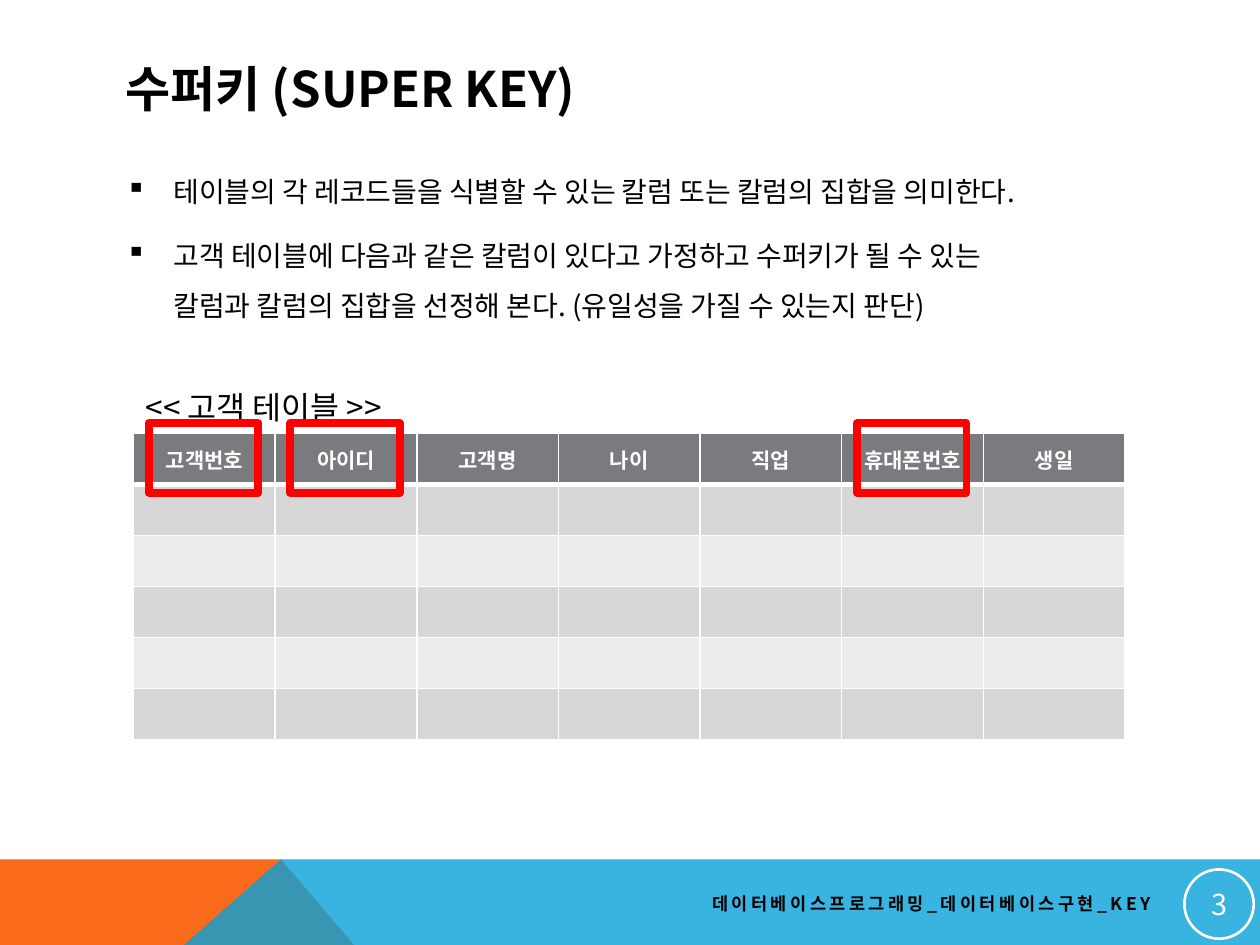
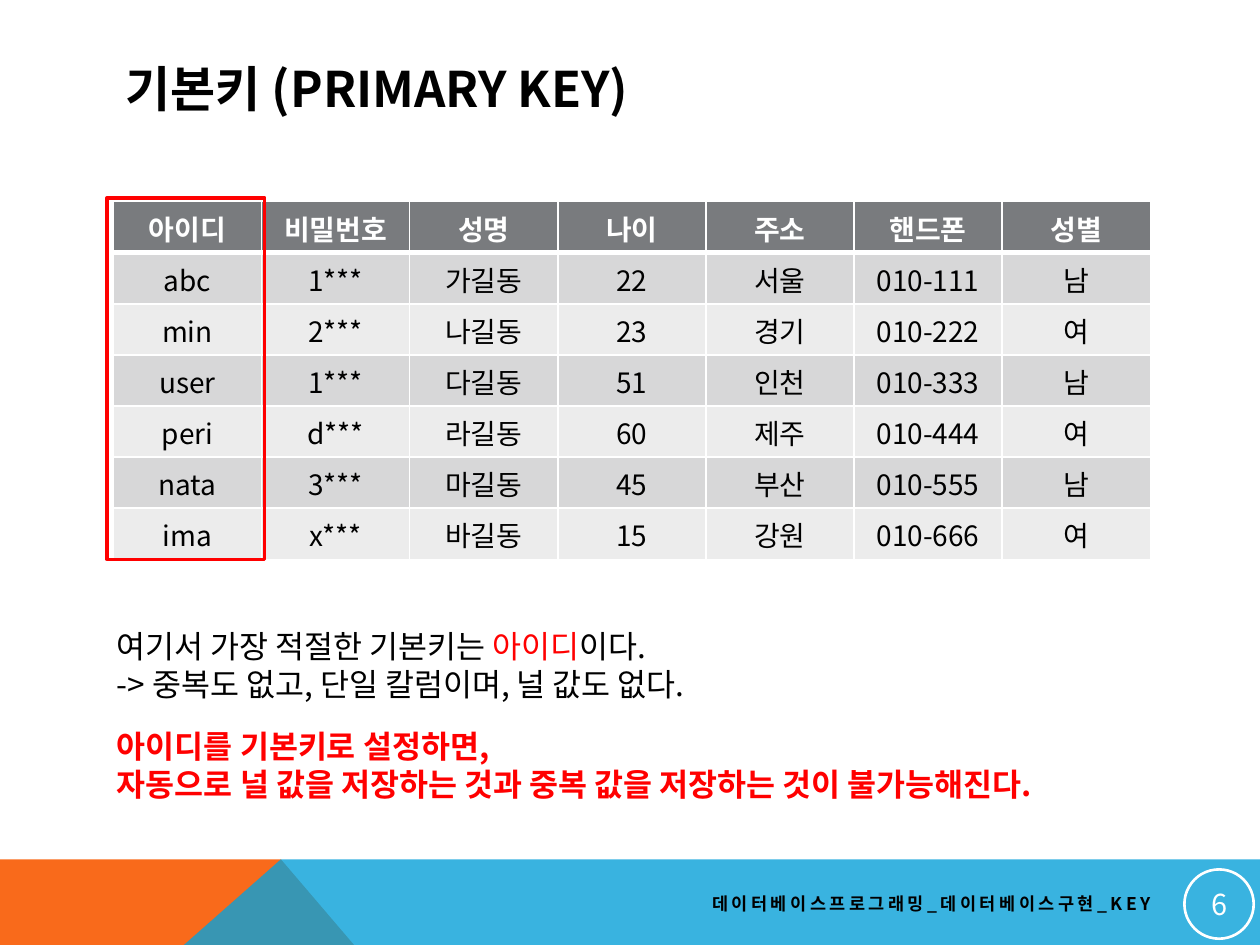
from dataclasses import dataclass

from lxml import etree
from pptx import Presentation
from pptx.dml.color import RGBColor
from pptx.enum import shapes, text
from pptx.oxml import ns
from pptx.util import Inches, Pt

FONT = "Noto Sans CJK KR"
BLACK, WHITE, RED = "000000", "FFFFFF", "FF0000"
ORANGE, BLUE = "F96A1B", "08A1D9"
HEADER, BANDS = "797B7E", ("D7D7D8", "ECECEC")
FOOTER = "데이터베이스프로그래밍_데이터베이스구현_KEY"
LEFT, CENTER, RIGHT = text.PP_ALIGN.LEFT, text.PP_ALIGN.CENTER, text.PP_ALIGN.RIGHT
TOP, MIDDLE = text.MSO_ANCHOR.TOP, text.MSO_ANCHOR.MIDDLE
WIDTH, HEIGHT, BAND_TOP = 10, 7.5, 6.82


@dataclass(frozen=True)
class Box:
    x: float
    y: float
    w: float
    h: float

    def emu(self) -> tuple:
        return tuple(Inches(v) for v in (self.x, self.y, self.w, self.h))


@dataclass(frozen=True)
class Grid:
    box: Box
    rows: list
    header_size: float
    body_size: float
    anchor: text.MSO_ANCHOR


def rgb(value: str) -> RGBColor:
    return RGBColor.from_string(value)


def sub(parent, tag: str, **attrs: str):
    return etree.SubElement(parent, ns.qn(tag), attrs)


def add_run(p, content: str, size: float, color: str, bold: bool, spacing: float) -> None:
    r = p.add_run()
    r.text = content
    r.font.name = FONT
    r.font.size = Pt(size)
    r.font.bold = bold
    r.font.color.rgb = rgb(color)
    props = r.font._element
    sub(props, "a:ea", typeface=FONT)
    if spacing:
        props.set("spc", str(int(spacing * 100)))


def write(tf, paragraphs: list, *, size: float, color: str = BLACK, bold: bool = False,
          align=LEFT, line: float = 1.0, before: float = 0, spacing: float = 0,
          bullet: str = "") -> None:
    for i, content in enumerate(paragraphs):
        p = tf.add_paragraph() if i else tf.paragraphs[0]
        p.alignment = align
        p.line_spacing = line
        p.space_before = Pt(before)
        if bullet:
            ppr = p._p.get_or_add_pPr()
            ppr.set("marL", str(Inches(0.38)))
            ppr.set("indent", str(Inches(-0.38)))
            sub(ppr, "a:buChar", char=bullet)
        runs = [(content, color)] if isinstance(content, str) else content
        for run_text, run_color in runs:
            for j, part in enumerate(run_text.split("\n")):
                if j:
                    p.add_line_break()
                add_run(p, part, size, run_color, bold, spacing)


def add_text(s, box: Box, paragraphs: list, *, anchor=TOP, wrap: bool = True, **style) -> None:
    tf = s.shapes.add_textbox(*box.emu()).text_frame
    tf.word_wrap = wrap
    tf.vertical_anchor = anchor
    if not wrap:
        tf.auto_size = text.MSO_AUTO_SIZE.SHAPE_TO_FIT_TEXT
    write(tf, paragraphs, **style)


def add_outline(s, box: Box, color: str, weight: float, kind=shapes.MSO_SHAPE.RECTANGLE):
    sp = s.shapes.add_shape(kind, *box.emu())
    sp.shadow.inherit = False
    sp.fill.background()
    sp.line.color.rgb = rgb(color)
    sp.line.width = Pt(weight)
    return sp


def add_polygon(s, points: list, color: str, opacity: int = 100) -> None:
    corners = [(Inches(x), Inches(y)) for x, y in points]
    builder = s.shapes.build_freeform(*corners[0])
    builder.add_line_segments(corners[1:], close=True)
    sp = builder.convert_to_shape()
    sp.shadow.inherit = False
    sp.fill.solid()
    sp.fill.fore_color.rgb = rgb(color)
    sp.line.fill.background()
    if opacity < 100:
        clr = sp._element.spPr.find(".//" + ns.qn("a:srgbClr"))
        sub(clr, "a:alpha", val=str(opacity * 1000))


def set_borders(cell, **weights: float) -> None:
    tc_pr = cell._tc.get_or_add_tcPr()
    for i, side in enumerate("LRTB"):
        ln = etree.Element(ns.qn(f"a:ln{side}"), w=str(Pt(weights.get(side, 1))))
        sub(sub(ln, "a:solidFill"), "a:srgbClr", val=WHITE)
        tc_pr.insert(i, ln)


def add_grid(s, grid: Grid) -> None:
    n_rows, n_cols = len(grid.rows), len(grid.rows[0])
    table = s.shapes.add_table(n_rows, n_cols, *grid.box.emu()).table
    for col in table.columns:
        col.width = Inches(grid.box.w / n_cols)
    for i, values in enumerate(grid.rows):
        table.rows[i].height = Inches(grid.box.h / n_rows)
        head = i == 0
        for j, value in enumerate(values):
            cell = table.cell(i, j)
            cell.vertical_anchor = grid.anchor
            cell.fill.solid()
            cell.fill.fore_color.rgb = rgb(HEADER if head else BANDS[(i - 1) % 2])
            set_borders(cell, T=3 if i == 1 else 1, B=3 if head else 1)
            write(cell.text_frame, [value], align=CENTER, bold=head,
                  size=grid.header_size if head else grid.body_size,
                  color=WHITE if head else BLACK)


def new_slide(prs, title: str, number: int):
    s = prs.slides.add_slide(prs.slide_layouts[6])
    peak = (2.23, BAND_TOP)
    add_polygon(s, [(0, HEIGHT), (0, BAND_TOP), peak, (2.81, HEIGHT)], ORANGE)
    add_polygon(s, [(1.46, HEIGHT), peak, (WIDTH, BAND_TOP), (WIDTH, HEIGHT)], BLUE, 80)
    add_text(s, Box(0.9, 0.4, 8.22, 0.6), [title], anchor=MIDDLE, size=28, bold=True)
    add_text(s, Box(4.06, 7.02, 5.17, 0.3), [FOOTER], anchor=MIDDLE, size=10,
             bold=True, align=RIGHT, spacing=2)
    badge = add_outline(s, Box(9.4, 6.9, 0.55, 0.55), WHITE, 1.5, shapes.MSO_SHAPE.OVAL)
    tf = badge.text_frame
    tf.margin_left = tf.margin_right = tf.margin_top = tf.margin_bottom = Inches(0.01)
    tf.vertical_anchor = MIDDLE
    write(tf, [str(number)], size=16.5, color=WHITE, align=CENTER)
    return s


def super_key(prs) -> None:
    s = new_slide(prs, "수퍼키 (SUPER KEY)", 3)
    add_text(s, Box(0.9, 1.2, 8.27, 1.44), [
        "테이블의 각 레코드들을 식별할 수 있는 칼럼 또는 칼럼의 집합을 의미한다.",
        "고객 테이블에 다음과 같은 칼럼이 있다고 가정하고 수퍼키가 될 수 있는 \n"
        "칼럼과 칼럼의 집합을 선정해 본다. (유일성을 가질 수 있는지 판단)",
    ], size=16, line=1.5, before=8, bullet="▪")
    columns = ["고객번호", "아이디", "고객명", "나이", "직업", "휴대폰번호", "생일"]
    box = Box(1.06, 3.44, 7.87, 2.43)
    add_grid(s, Grid(box, [columns] + [[""] * len(columns)] * 5, 12, 12, MIDDLE))
    add_text(s, Box(1.06, 2.88, 2.44, 0.56), ["<< 고객 테이블 >>"], wrap=False,
             size=18, line=1.5)
    step = box.w / len(columns)
    for key in ("휴대폰번호", "아이디", "고객번호"):
        x = box.x + 0.12 + step * columns.index(key)
        add_outline(s, Box(x, 3.36, 0.87, 0.55), RED, 4.5)


def primary_key(prs) -> None:
    s = new_slide(prs, "기본키 (PRIMARY KEY)", 6)
    add_grid(s, Grid(Box(0.9, 1.6, 8.23, 2.84), [
        ["아이디", "비밀번호", "성명", "나이", "주소", "핸드폰", "성별"],
        ["abc", "1***", "가길동", "22", "서울", "010-111", "남"],
        ["min", "2***", "나길동", "23", "경기", "010-222", "여"],
        ["user", "1***", "다길동", "51", "인천", "010-333", "남"],
        ["peri", "d***", "라길동", "60", "제주", "010-444", "여"],
        ["nata", "3***", "마길동", "45", "부산", "010-555", "남"],
        ["ima", "x***", "바길동", "15", "강원", "010-666", "여"],
    ], 16, 16, TOP))
    add_outline(s, Box(0.85, 1.57, 1.25, 2.87), RED, 2)
    add_text(s, Box(0.83, 4.93, 5.39, 0.71), [
        [("여기서 가장 적절한 기본키는 ", BLACK), ("아이디", RED), ("이다.", BLACK)],
        "-> 중복도 없고, 단일 칼럼이며, 널 값도 없다.",
    ], wrap=False, size=18)
    add_text(s, Box(0.83, 5.72, 8.39, 0.71), [
        "아이디를 기본키로 설정하면,",
        "자동으로 널 값을 저장하는 것과 중복 값을 저장하는 것이 불가능해진다.",
    ], wrap=False, size=18, color=RED, bold=True)


def main() -> None:
    prs = Presentation()
    prs.slide_width, prs.slide_height = Inches(WIDTH), Inches(HEIGHT)
    super_key(prs)
    primary_key(prs)
    prs.save("out.pptx")


main()
